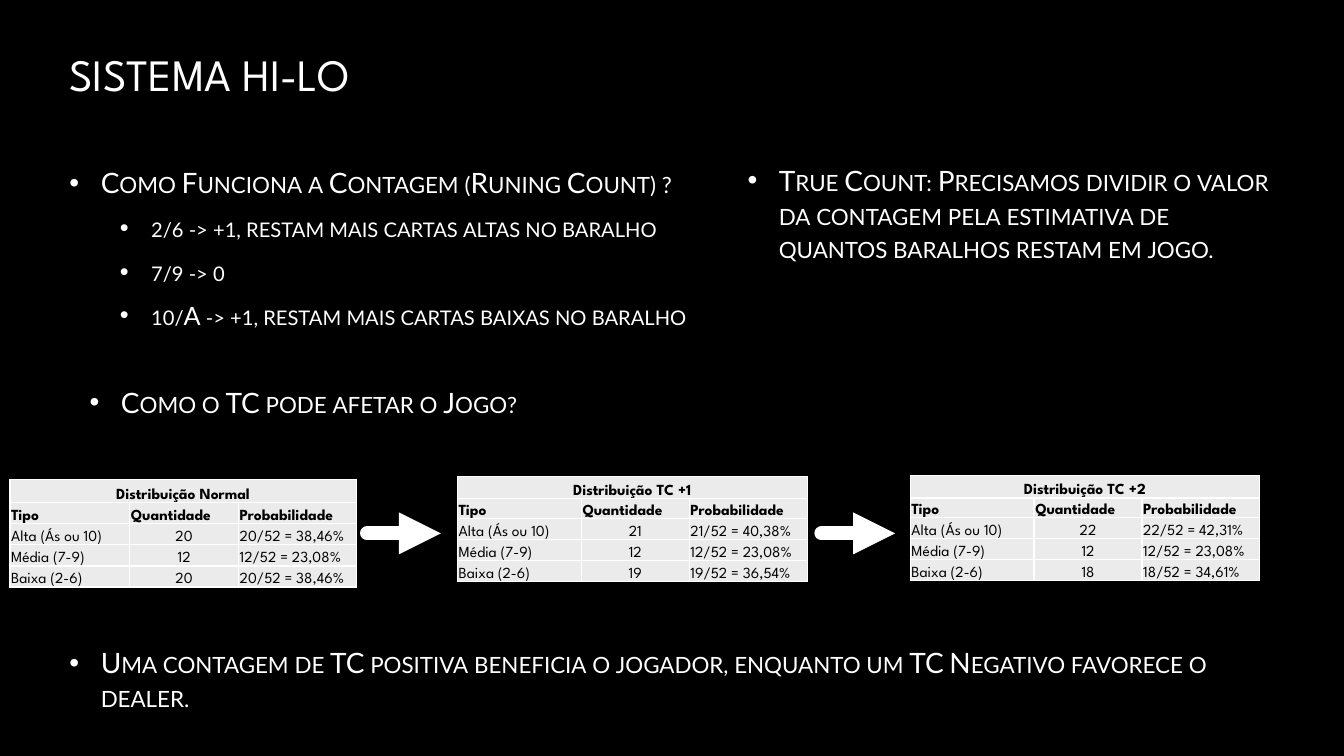
from lxml.etree import SubElement as Sub
from pptx import Presentation as Deck
from pptx.dml.color import RGBColor
from pptx.enum.shapes import MSO_CONNECTOR as Link
from pptx.enum.text import MSO_ANCHOR as Anchor, PP_ALIGN as Align
from pptx.oxml.ns import qn
from pptx.util import Cm, Pt

BLACK = RGBColor(0x00, 0x00, 0x00)
WHITE = RGBColor(0xFF, 0xFF, 0xFF)
GRAY = RGBColor(0xEB, 0xEB, 0xEB)
LATO = "Lato"
SPARTAN = "League Spartan"

COUNT = [
    (0, "Como Funciona a Contagem (Runing Count) ?"),
    (1, "2/6 -> +1, restam mais cartas altas no baralho"),
    (1, "7/9 -> 0"),
    (1, "10/A -> +1, restam mais cartas baixas no baralho"),
]
TRUE = [(0, "True Count: Precisamos dividir o valor da contagem pela "
            "estimativa de quantos baralhos restam em jogo.")]
GAME = [(0, "Como o TC pode afetar o Jogo?")]
DEALER = [(0, "Uma contagem de TC positiva beneficia o jogador, "
              "enquanto um TC Negativo favorece o dealer.")]

HEADS = ["Tipo", "Quantidade", "Probabilidade"]
KINDS = ["Alta (Ás ou 10)", "Média (7-9)", "Baixa (2-6)"]
FIRST = ([3.02, 2.74, 2.97], [0.58, 0.53, 0.53, 0.53, 0.53], 2.69)
LATER = ([3.12, 2.72, 2.97], [0.56, 0, 0.53, 0.53, 0.53], 2.64)
TABLES = [
    (0.25, 12.09, FIRST, "Distribuição Normal",
     [("20", "38,46%"), ("12", "23,08%"), ("20", "38,46%")]),
    (11.53, 12.01, LATER, "Distribuição TC +1",
     [("21", "40,38%"), ("12", "23,08%"), ("19", "36,54%")]),
    (22.94, 11.99, LATER, "Distribuição TC +2",
     [("22", "42,31%"), ("12", "23,08%"), ("18", "34,61%")]),
]


def add_run(para, text, size, font, color, bold=False):
    run = para.add_run()
    run.text = text
    run.font.size = Pt(size)
    run.font.name = font
    run.font.bold = bold
    run.font.color.rgb = color
    return run


def add_box(slide, left, top, width, height):
    box = slide.shapes.add_textbox(Cm(left), Cm(top), Cm(width), Cm(height))
    frame = box.text_frame
    frame.word_wrap = True
    frame.vertical_anchor = Anchor.MIDDLE
    return frame


def add_bullet(para, level):
    para.level = level
    props = para._p.get_or_add_pPr()
    props.set("marL", str(Cm(0.79 + 1.27 * level)))
    props.set("indent", str(-Cm(0.79)))
    tint = Sub(Sub(props, qn("a:buClr")), qn("a:srgbClr"))
    tint.set("val", str(WHITE))
    Sub(props, qn("a:buFont")).set("typeface", "Arial")
    Sub(props, qn("a:buChar")).set("char", "•")


def add_list(slide, area, items):
    frame = add_box(slide, *area)
    for i, (level, text) in enumerate(items):
        para = frame.add_paragraph() if i else frame.paragraphs[0]
        size = 20 - 2 * level
        para.space_before = Pt(size * 0.2)
        para.space_after = Pt(6)
        add_bullet(para, level)
        run = add_run(para, text, size, LATO, WHITE)
        run.font._element.set("cap", "small")


def add_edges(cell):
    props = cell._tc.get_or_add_tcPr()
    for i, side in enumerate(("a:lnL", "a:lnR", "a:lnT", "a:lnB")):
        edge = Sub(props, qn(side))
        edge.set("w", str(Pt(1)))
        tint = Sub(Sub(edge, qn("a:solidFill")), qn("a:srgbClr"))
        tint.set("val", str(WHITE))
        props.insert(i, edge)


def fill_cell(cell, text, bold, center):
    cell.fill.solid()
    cell.fill.fore_color.rgb = GRAY
    cell.vertical_anchor = Anchor.BOTTOM
    cell.margin_left = cell.margin_right = cell.margin_top = Cm(0.03)
    cell.margin_bottom = 0
    add_edges(cell)
    para = cell.text_frame.paragraphs[0]
    para.alignment = Align.CENTER if center else Align.LEFT
    add_run(para, text, 11, SPARTAN, BLACK, bold)


def add_grid(slide, left, top, sizes, title, odds):
    widths, heights, total = sizes
    rows = [[title, "", ""], HEADS]
    rows += [[kind, num, f"{num}/52 = {rate}"]
             for kind, (num, rate) in zip(KINDS, odds)]
    shape = slide.shapes.add_table(len(rows), len(HEADS), Cm(left), Cm(top),
                                   Cm(sum(widths)), Cm(total))
    table = shape.table
    table.first_row = table.horz_banding = False
    for col, width in zip(table.columns, widths):
        col.width = Cm(width)
    for row, height in zip(table.rows, heights):
        row.height = Cm(height)
    shape.height = Cm(total)
    table.cell(0, 0).merge(table.cell(0, 2))
    for r, texts in enumerate(rows):
        for c, text in enumerate(texts):
            center = r == 0 or (r > 1 and c == 1)
            fill_cell(table.cell(r, c), text, r < 2, center)


def add_arrow(slide, left):
    y = Cm(13.44)
    arrow = slide.shapes.add_connector(Link.STRAIGHT, Cm(left), y,
                                       Cm(left + 1.86), y)
    arrow.line.color.rgb = WHITE
    arrow.line.width = Pt(10)
    line = arrow.line._get_or_add_ln()
    line.set("cap", "rnd")
    Sub(line, qn("a:tailEnd")).set("type", "triangle")
    Sub(arrow._element.spPr, qn("a:effectLst"))


def main():
    deck = Deck()
    deck.slide_width, deck.slide_height = Cm(33.87), Cm(19.05)
    slide = deck.slides.add_slide(deck.slide_layouts[6])
    slide.background.fill.solid()
    slide.background.fill.fore_color.rgb = BLACK

    title = add_box(slide, 1.5, 0.25, 9.19, 3.2)
    add_run(title.paragraphs[0], "SISTEMA HI-LO", 32, SPARTAN, WHITE)
    add_list(slide, (1.5, 3.76, 16.76, 4.98), COUNT)
    add_list(slide, (18.59, 2.9, 13.79, 4.98), TRUE)
    add_list(slide, (2.01, 8.74, 14.94, 2.79), GAME)
    for data in TABLES:
        add_grid(slide, *data)
    for left in (9.25, 20.7):
        add_arrow(slide, left)
    add_list(slide, (1.5, 14.63, 30.86, 4.98), DEALER)
    deck.save("out.pptx")


if __name__ == "__main__":
    main()
